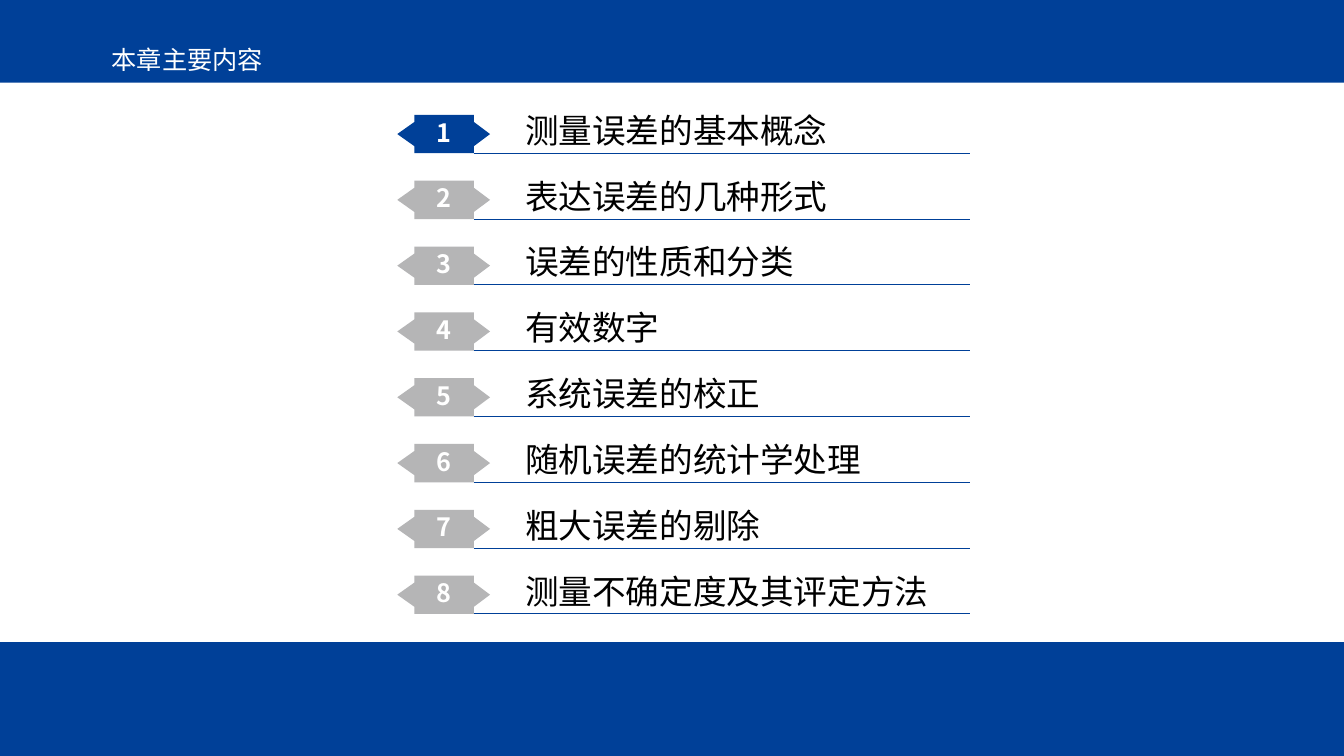
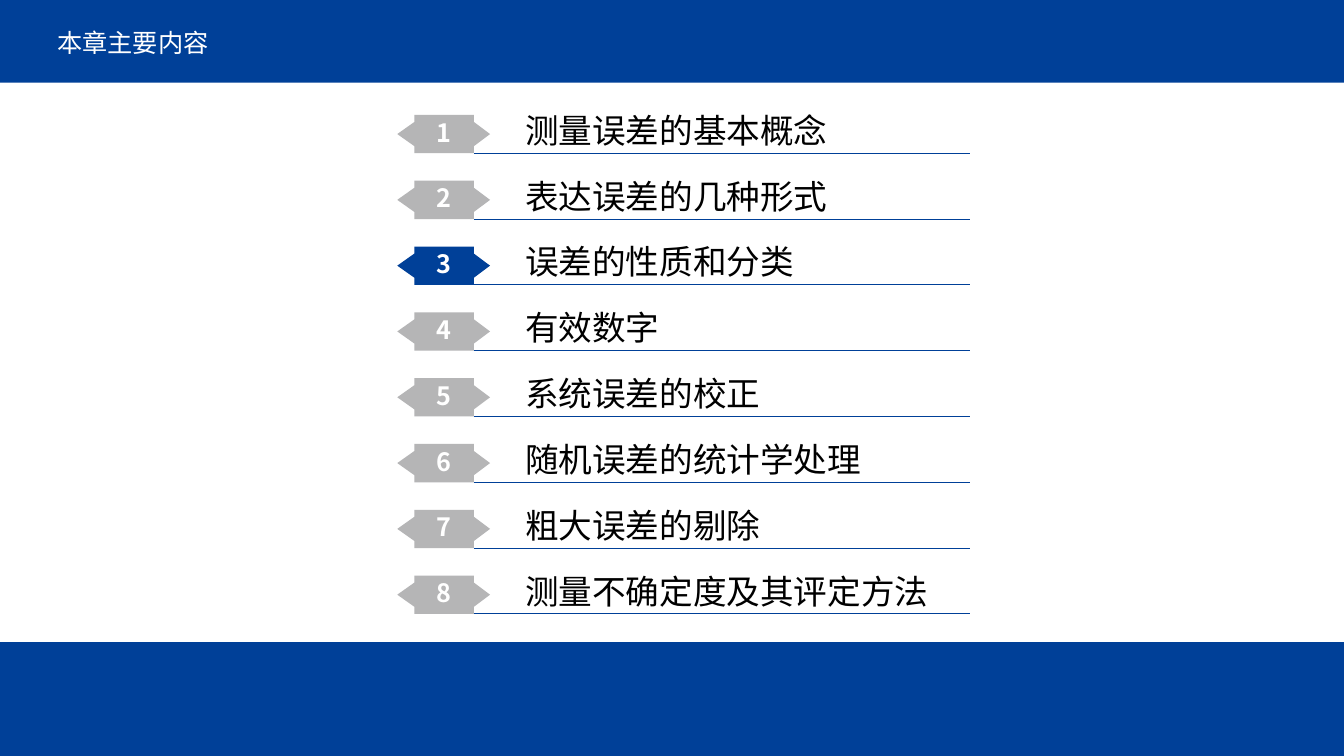
"""Build two chapter-outline slides, each highlighting its current section."""
from pptx import Presentation
from pptx import util as u
from pptx.dml.color import RGBColor
from pptx.enum import shapes, text
from pptx.oxml.xmlchemy import OxmlElement

TITLE = "本章主要内容"
SECTIONS = [
    "测量误差的基本概念",
    "表达误差的几种形式",
    "误差的性质和分类",
    "有效数字",
    "系统误差的校正",
    "随机误差的统计学处理",
    "粗大误差的剔除",
    "测量不确定度及其评定方法",
]
SLIDES = [
    {"current": 1, "title_at": (1.01, 0.42), "title_font": "Noto Sans CJK SC"},
    {"current": 3, "title_at": (0.47, 0.26), "title_font": "Times New Roman"},
]

COLORS = {"blue": "004098", "gray": "B5B5B6", "white": "FFFFFF", "black": "000000"}
EAST_ASIAN = "Noto Sans CJK SC"
TITLE_STYLE = {"size": u.Pt(18)}
NUMBER_STYLE = {"name": EAST_ASIAN, "size": u.Pt(18), "bold": True}
LABEL_STYLE = {"name": "Times New Roman", "size": u.Pt(24)}
BANDS = [(6.37, 1.13), (0, 0.82)]
WIDTH, HEIGHT = 13.33, 7.5
FIRST_TOP, LAST_TOP = 1.14, 5.71
PITCH = (LAST_TOP - FIRST_TOP) / (len(SECTIONS) - 1)
TAG_HEIGHT = 0.38
TAG_LEFT, BODY_LEFT, BODY_RIGHT, TAG_RIGHT = 3.94, 4.11, 4.7, 4.86
NOTCH = 0.07
RULE_RIGHT = 9.62


def rgb(color):
    return RGBColor.from_string(COLORS[color])


def paint(sp, color):
    sp.shadow.inherit = False
    sp.fill.solid()
    sp.fill.fore_color.rgb = rgb(color)
    sp.line.fill.background()


def add_text(parent, box, content, color, style, frame=None, para=None):
    sp = parent.add_textbox(*map(u.Inches, box))
    tf = sp.text_frame
    for key, value in {"word_wrap": True, **(frame or {})}.items():
        setattr(tf, key, value)
    p = tf.paragraphs[0]
    for key, value in (para or {}).items():
        setattr(p, key, value)
    r = p.add_run()
    r.text = content
    for key, value in style.items():
        setattr(r.font, key, value)
    r.font.color.rgb = rgb(color)
    ea = OxmlElement("a:ea")
    ea.set("typeface", EAST_ASIAN)
    r.font._element.append(ea)


def add_tag(parent, top, color):
    bottom = top + TAG_HEIGHT
    middle = top + TAG_HEIGHT / 2
    points = [
        (BODY_RIGHT, top), (BODY_LEFT, top), (BODY_LEFT, top + NOTCH),
        (TAG_LEFT, middle), (BODY_LEFT, bottom - NOTCH), (BODY_LEFT, bottom),
        (BODY_RIGHT, bottom), (BODY_RIGHT, bottom - NOTCH),
        (TAG_RIGHT, middle), (BODY_RIGHT, top + NOTCH),
    ]
    outline = [(u.Inches(x), u.Inches(y)) for x, y in points]
    builder = parent.build_freeform(*outline[0])
    builder.add_line_segments(outline[1:], close=True)
    paint(builder.convert_to_shape(), color)


def add_rule(parent, y):
    ends = (BODY_RIGHT, y, RULE_RIGHT, y)
    line = parent.add_connector(shapes.MSO_CONNECTOR.STRAIGHT, *map(u.Inches, ends))
    line.line.color.rgb = rgb("blue")
    line.line.width = u.Pt(0.5)
    line._element.spPr.append(OxmlElement("a:effectLst"))


def add_section(s, number, label, current):
    top = FIRST_TOP + (number - 1) * PITCH
    row = s.shapes.add_group_shape().shapes
    add_tag(row, top, "blue" if current else "gray")
    add_text(row, (4.19, top - 0.07, 0.42, 0.48), str(number), "white", NUMBER_STYLE,
             {"word_wrap": False, "vertical_anchor": text.MSO_ANCHOR.MIDDLE},
             {"alignment": text.PP_ALIGN.CENTER})
    add_rule(row, top + TAG_HEIGHT)
    add_text(row, (5.11, top - 0.1, 4.8, 0.5), label, "black", LABEL_STYLE,
             {"auto_size": text.MSO_AUTO_SIZE.SHAPE_TO_FIT_TEXT})


def add_slide(prs, current, title_at, title_font):
    s = prs.slides.add_slide(prs.slide_layouts[6])
    for top, height in BANDS:
        box = (0, top, WIDTH, height)
        paint(s.shapes.add_shape(shapes.MSO_SHAPE.RECTANGLE, *map(u.Inches, box)), "blue")
    add_text(s.shapes, (*title_at, 9.44, 0.37), TITLE, "white",
             {**TITLE_STYLE, "name": title_font},
             {"vertical_anchor": text.MSO_ANCHOR.MIDDLE}, {"line_spacing": 0.9})
    for number, label in enumerate(SECTIONS, 1):
        add_section(s, number, label, number == current)


def main():
    prs = Presentation()
    prs.slide_width, prs.slide_height = u.Inches(WIDTH), u.Inches(HEIGHT)
    for slide in SLIDES:
        add_slide(prs, **slide)
    prs.save("out.pptx")


if __name__ == "__main__":
    main()
